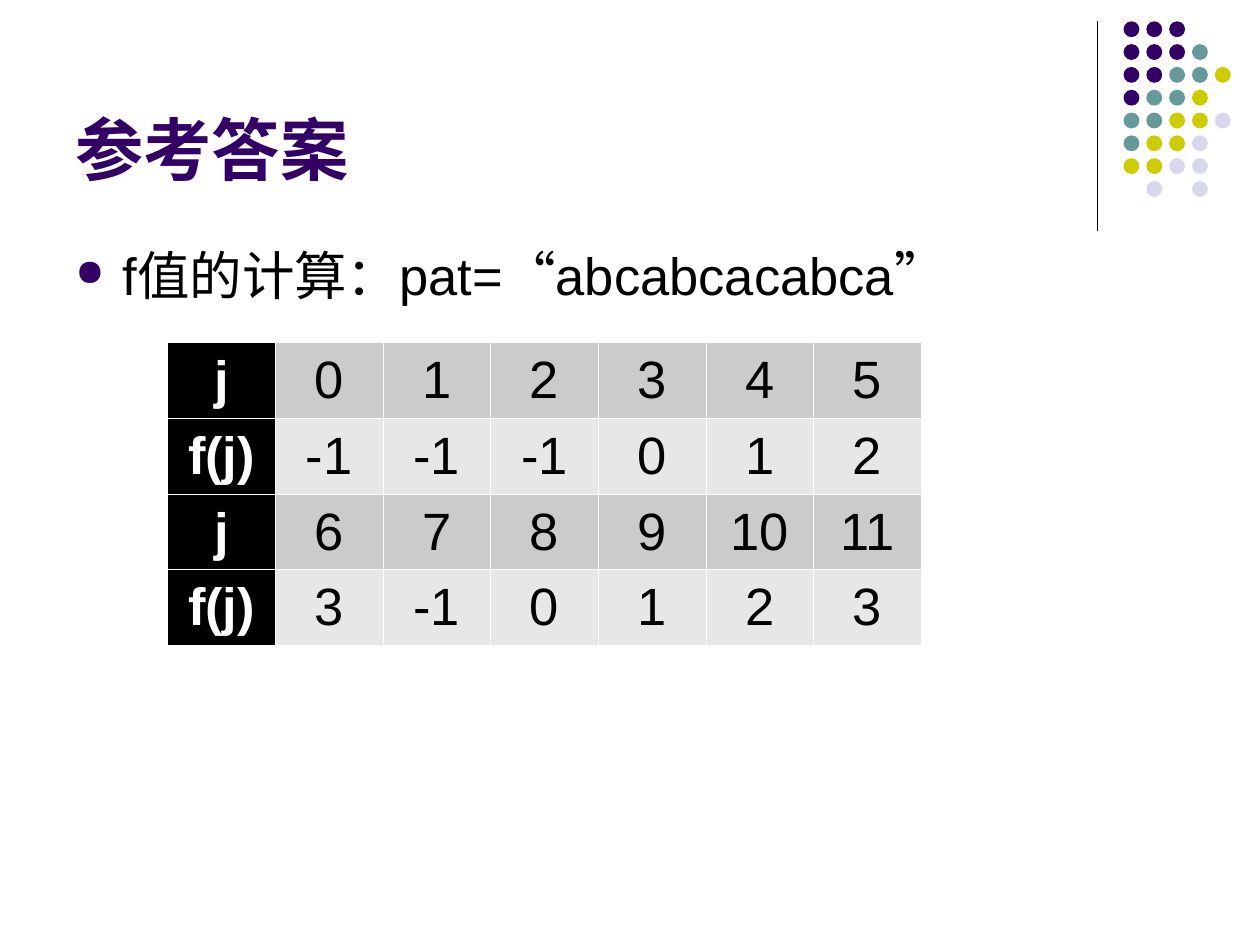
from lxml import etree
from pptx import Presentation
from pptx.dml.color import RGBColor
from pptx.enum.lang import MSO_LANGUAGE_ID
from pptx.enum.shapes import MSO_CONNECTOR, MSO_SHAPE
from pptx.enum.text import MSO_ANCHOR, PP_ALIGN
from pptx.oxml.ns import qn
from pptx.util import Cm, Pt

OVAL = MSO_SHAPE.OVAL
STRAIGHT = MSO_CONNECTOR.STRAIGHT
CENTER = PP_ALIGN.CENTER
TOP, MIDDLE, BOTTOM = MSO_ANCHOR.TOP, MSO_ANCHOR.MIDDLE, MSO_ANCHOR.BOTTOM
CHINESE = MSO_LANGUAGE_ID.SIMPLIFIED_CHINESE

TITLE = "参考答案"
BODY = "f值的计算：pat=“abcabcacabca”"
FAILURE_ROWS = [
    ("j", "0", "1", "2", "3", "4", "5"),
    ("f(j)", "-1", "-1", "-1", "0", "1", "2"),
    ("j", "6", "7", "8", "9", "10", "11"),
    ("f(j)", "3", "-1", "0", "1", "2", "3"),
]
# One letter per dot: Purple, Teal, Yellow, Lavender
DOT_ROWS = ["PPP", "PPPT", "PPTTY", "PTTY", "TTYYL", "TYYL", "YYLL", " L L"]

THEME = {
    "font": "Arial", "title_size": Pt(39), "text_size": Pt(30),
    "title": "330066", "text": "000000",
    "header_fill": "000000", "header_text": "FFFFFF",
    "row_fills": ("CBCBCB", "E7E7E7"),
    "border": "FFFFFF", "border_width": Pt(0.45),
    "rule": "000000", "rule_width": Pt(0.75),
    "dots": {"P": "330066", "T": "669999", "Y": "CCCC00", "L": "D8D8EC"},
}


def paint(fill, color):
    fill.solid()
    fill.fore_color.rgb = RGBColor.from_string(color)


def format_font(font, size, color, bold=False):
    values = {"name": THEME["font"], "size": size, "bold": bold, "language_id": CHINESE}
    for name, value in values.items():
        setattr(font, name, value)
    font.color.rgb = RGBColor.from_string(color)


def add_text(page, area, text, anchor):
    box = page.shapes.add_textbox(*(Cm(length) for length in area))
    frame = box.text_frame
    frame.word_wrap = True
    frame.vertical_anchor = anchor
    para = frame.paragraphs[0]
    para.text = text
    return para


def add_bullet(para, color, percent, indent):
    props = para._p.get_or_add_pPr()
    props.set("marL", str(indent))
    props.set("indent", str(-indent))
    bullet_color = etree.SubElement(props, qn("a:buClr"))
    etree.SubElement(bullet_color, qn("a:srgbClr"), val=color)
    etree.SubElement(props, qn("a:buSzPct"), val=str(percent * 1000))
    etree.SubElement(props, qn("a:buChar"), char="●")


def add_borders(cell):
    """Draw all four sides; border elements must precede the cell's fill."""
    props = cell._tc.get_or_add_tcPr()
    for index, side in enumerate(("lnL", "lnR", "lnT", "lnB")):
        line = etree.Element(qn(f"a:{side}"), w=str(THEME["border_width"]))
        fill = etree.SubElement(line, qn("a:solidFill"))
        etree.SubElement(fill, qn("a:srgbClr"), val=THEME["border"])
        props.insert(index, line)


def add_dots(page, left=22.65, top=0.43, pitch=0.46, size=0.32):
    for row, letters in enumerate(DOT_ROWS):
        for column, letter in enumerate(letters):
            if letter == " ":
                continue
            dot = page.shapes.add_shape(
                OVAL, Cm(left + column * pitch), Cm(top + row * pitch), Cm(size), Cm(size))
            dot.shadow.inherit = False
            paint(dot.fill, THEME["dots"][letter])
            dot.line.fill.background()


def add_rule(page, x=22.12, top=0.43, bottom=4.65):
    rule = page.shapes.add_connector(STRAIGHT, Cm(x), Cm(top), Cm(x), Cm(bottom))
    rule.line.width = THEME["rule_width"]
    rule.line.color.rgb = RGBColor.from_string(THEME["rule"])
    etree.SubElement(rule._element.spPr, qn("a:effectLst"))


def add_failure_table(page, left=3.38, top=6.91, column_width=2.17, row_height=1.52):
    row_count, column_count = len(FAILURE_ROWS), len(FAILURE_ROWS[0])
    table = page.shapes.add_table(
        row_count, column_count, Cm(left), Cm(top),
        Cm(column_count * column_width), Cm(row_count * row_height)).table
    for column in table.columns:
        column.width = Cm(column_width)
    for row, values in enumerate(FAILURE_ROWS):
        table.rows[row].height = Cm(row_height)
        for column, value in enumerate(values):
            header = column == 0
            cell = table.cell(row, column)
            cell.vertical_anchor = MIDDLE
            paint(cell.fill, THEME["header_fill"] if header else THEME["row_fills"][row % 2])
            add_borders(cell)
            para = cell.text_frame.paragraphs[0]
            para.text = value
            para.alignment = CENTER
            color = THEME["header_text" if header else "text"]
            format_font(para.runs[0].font, THEME["text_size"], color, header)


def main():
    deck = Presentation()
    deck.slide_width, deck.slide_height = Cm(25.4), Cm(19.05)
    page = deck.slides.add_slide(deck.slide_layouts[6])

    add_rule(page)
    add_dots(page)

    title = add_text(page, (1.27, 0.33, 20.96, 3.61), TITLE, BOTTOM)
    format_font(title.runs[0].font, THEME["title_size"], THEME["title"], bold=True)

    body = add_text(page, (1.27, 4.78, 22.86, 12.24), BODY, TOP)
    add_bullet(body, THEME["title"], percent=70, indent=Cm(0.95))
    format_font(body.runs[0].font, THEME["text_size"], THEME["text"])

    add_failure_table(page)
    deck.save("out.pptx")


if __name__ == "__main__":
    main()
